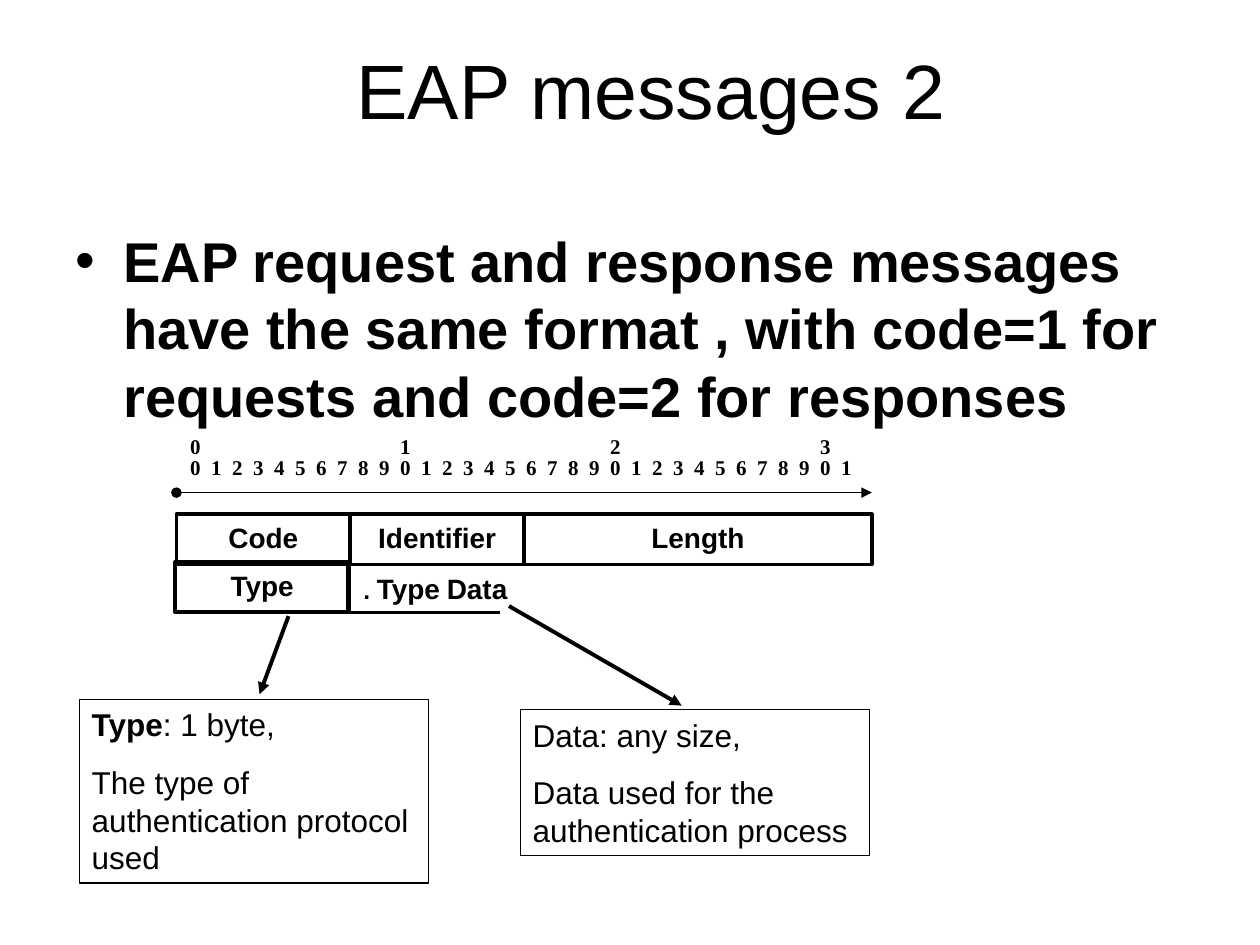
from lxml.etree import SubElement
from pptx import Presentation
from pptx.dml.color import RGBColor
from pptx.enum.shapes import MSO_CONNECTOR as Connector, MSO_SHAPE as Shape
from pptx.enum.text import MSO_ANCHOR as Anchor, MSO_AUTO_SIZE as AutoSize, PP_ALIGN as Align
from pptx.oxml.ns import qn
from pptx.util import Inches, Pt

INK = "000000"
BIT_PITCH = 1 / 6
ROW_HEIGHT = 0.4


def color(value):
    """Turn a hex string into a colour."""
    return RGBColor.from_string(value)


def style(font, size, bold=False, name="Arial"):
    """Set the face, size, weight and colour of a font."""
    font.name, font.size, font.bold = name, Pt(size), bold
    font.color.rgb = color(INK)


def add_text(page, left, top, width, height, wrap=True):
    """Add an empty text box and return its frame."""
    box = page.shapes.add_textbox(Inches(left), Inches(top), Inches(width), Inches(height))
    box.text_frame.word_wrap = wrap
    return box.text_frame


def add_frame(page, left, top, width, height, line_width):
    """Add an outlined rectangle and return its text frame."""
    box = page.shapes.add_shape(
        Shape.RECTANGLE, Inches(left), Inches(top), Inches(width), Inches(height))
    box.shadow.inherit = False
    box.fill.background()
    box.line.color.rgb = color(INK)
    box.line.width = Pt(line_width)
    box.text_frame.word_wrap = True
    box.text_frame.vertical_anchor = Anchor.TOP
    return box.text_frame


def add_line(page, start, end, width, head=None, tail=None):
    """Add a straight line with optional end marks."""
    line = page.shapes.add_connector(Connector.STRAIGHT, *map(Inches, start + end))
    line.line.color.rgb = color(INK)
    line.line.width = Pt(width)
    outline = line.line._get_or_add_ln()
    for tag, mark in (("a:headEnd", head), ("a:tailEnd", tail)):
        if mark:
            SubElement(outline, qn(tag), type=mark)
    SubElement(line._element.spPr, qn("a:effectLst"))


def add_title(page, left, top, width, height):
    """Place and format the slide title."""
    title = page.shapes.title
    title.left, title.top, title.width, title.height = map(Inches, (left, top, width, height))
    frame = title.text_frame
    frame.text = "EAP messages 2"
    frame.auto_size = AutoSize.NONE
    frame.vertical_anchor = Anchor.MIDDLE
    frame.paragraphs[0].alignment = Align.CENTER
    style(frame.paragraphs[0].runs[0].font, 44)


def add_statement(page, left, top, width, height):
    """Add the bulleted statement."""
    para = add_text(page, left, top, width, height).paragraphs[0]
    para.text = ("EAP request and response messages have the same format , "
                 "with code=1 for requests and code=2 for responses")
    props = para._p.get_or_add_pPr()
    props.set("marL", str(Inches(0.38)))
    props.set("indent", str(Inches(-0.38)))
    SubElement(props, qn("a:buFont"), typeface="Arial")
    SubElement(props, qn("a:buChar"), char="•")
    style(para.runs[0].font, 32, True)


def add_digits(page, left, top, width, digits, pitch):
    """Add a row of digits spaced evenly by tab stops."""
    para = add_text(page, left, top, width, 0.3).paragraphs[0]
    para.text = "\t".join(digits)
    stops = SubElement(para._p.get_or_add_pPr(), qn("a:tabLst"))
    for index in range(1, len(digits)):
        SubElement(stops, qn("a:tab"), pos=str(Inches(index * pitch)), algn="l")
    style(para.runs[0].font, 12, True, "Times New Roman")


def add_ruler(page, left, top, width):
    """Add the bit numbers and the arrow below them."""
    add_digits(page, left, top, width, "0123", 10 * BIT_PITCH)
    add_digits(page, left, top + 0.17, width, [str(bit % 10) for bit in range(32)], BIT_PITCH)
    add_line(page, (left - 0.01, top + 0.52), (left + width - 0.01, top + 0.52),
             0.75, "oval", "triangle")


def add_field(page, left, top, width, name):
    """Add one named field of the message."""
    para = add_frame(page, left, top, width, ROW_HEIGHT, 2).paragraphs[0]
    para.text = name
    para.alignment = Align.CENTER
    style(para.runs[0].font, 16, True)


def add_message(page, left, top, byte_width):
    """Add the message fields, with the open-ended data field last."""
    for name, first_byte, size in (("Code", 0, 1), ("Identifier", 1, 1), ("Length", 2, 2)):
        add_field(page, left + first_byte * byte_width, top, size * byte_width, name)
    second = top + 0.38
    add_field(page, left - 0.01, second, byte_width, "Type")

    edge, bottom = left + byte_width - 0.02, second + ROW_HEIGHT
    para = add_text(page, edge + 0.01, second + 0.03, 1.37, ROW_HEIGHT, False).paragraphs[0]
    para.alignment = Align.CENTER
    for text, size in ((". ", 14), ("Type", 16), (" ", 14), ("Data", 16)):
        span = para.add_run()
        span.text = text
        style(span.font, size, True)
    add_line(page, (edge, second), (edge, bottom), 2)
    add_line(page, (edge + 1.21, bottom), (edge, bottom), 2)


def add_note(page, left, top, width, height, lines, arrow):
    """Add an explanation box and the arrow that leads to it."""
    add_line(page, *arrow, 2.25, tail="triangle")
    frame = add_frame(page, left, top, width, height, 0.75)
    for index, spans in enumerate(lines):
        para = frame.paragraphs[0] if index == 0 else frame.add_paragraph()
        para.alignment = Align.LEFT
        if index:
            para.space_before = Pt(11.2)
        for text, bold in spans:
            span = para.add_run()
            span.text = text
            style(span.font, 18, bold)


def main():
    """Build and save the slide."""
    deck = Presentation()
    deck.slide_width, deck.slide_height = Inches(10), Inches(7.5)
    page = deck.slides.add_slide(deck.slide_layouts[5])
    add_title(page, 0.67, 0.08, 9, 1.25)
    add_statement(page, 0.5, 1.75, 9, 1.7)
    add_ruler(page, 1.41, 3.39, 5.52)
    add_message(page, 1.4, 4.08, 1.38)
    add_note(page, 0.63, 5.55, 2.77, 1.46,
             [[("Type", True), (": 1 byte,", False)],
              [("The type of authentication protocol used", False)]],
             ((2.29, 4.89), (2.06, 5.51)))
    add_note(page, 4.13, 5.63, 2.77, 1.16,
             [[("Data: any size,", False)],
              [("Data used for the authentication process", False)]],
             ((4.04, 4.81), (5.41, 5.6)))
    deck.save("out.pptx")


if __name__ == "__main__":
    main()
